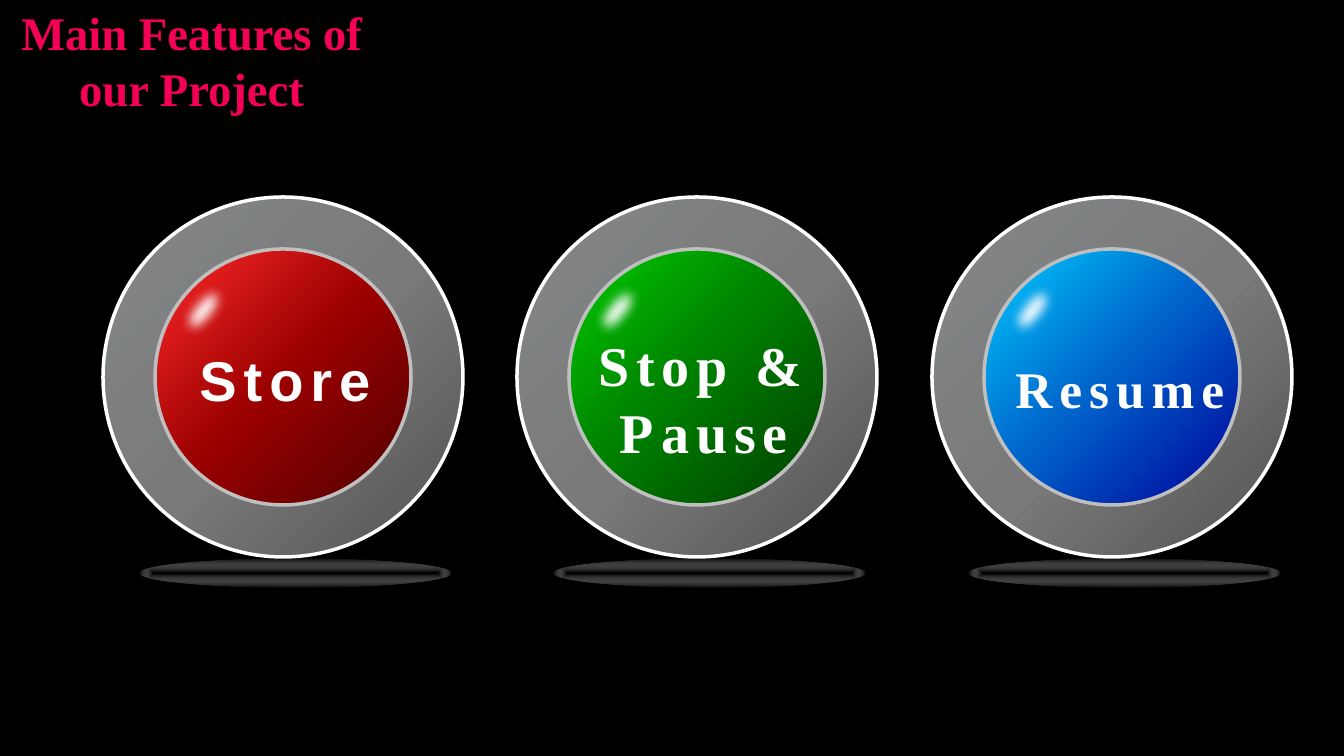
"""Builds a slide with three round buttons naming the main features of a project."""
import lxml.etree
import pptx
import pptx.dml.color
import pptx.enum.shapes
import pptx.enum.text
import pptx.oxml.ns
import pptx.util

RGBColor = pptx.dml.color.RGBColor
BLACK = RGBColor(0x00, 0x00, 0x00)
WHITE = RGBColor(0xFF, 0xFF, 0xFF)
SILVER = RGBColor(0xBF, 0xBF, 0xBF)
PINK = RGBColor(0xF5, 0x00, 0x57)
RING_STOPS = [
    (0, RGBColor(0xF6, 0xF9, 0xFC), 54),
    (57, RGBColor(0xD9, 0xD9, 0xD9), 55),
    (100, RGBColor(0xA6, 0xA6, 0xA6), 48),
]
SHADOW_STOPS = [(3, BLACK, 100), (100, WHITE, 0)]
RED_STOPS = [
    (0, RGBColor(0xFF, 0x29, 0x29), 100),
    (50, RGBColor(0x9A, 0x00, 0x00), 100),
    (100, RGBColor(0x50, 0x00, 0x00), 100),
]
GREEN_STOPS = [
    (0, RGBColor(0x00, 0xCC, 0x00), 100),
    (47, RGBColor(0x00, 0x80, 0x00), 100),
    (100, RGBColor(0x00, 0x3E, 0x00), 100),
]
BLUE_STOPS = [
    (0, RGBColor(0x00, 0xCC, 0xFF), 100),
    (47, RGBColor(0x00, 0x66, 0xCC), 100),
    (100, RGBColor(0x00, 0x00, 0x99), 100),
]
SERIF = "Times New Roman"
SANS = "Arial"
BUTTONS = [
    (103, RED_STOPS, "Store", (165, 341, 240, 76), SANS, 48),
    (517, GREEN_STOPS, "Stop & Pause", (587, 326, 234, 144), SERIF, 48),
    (932, BLUE_STOPS, "Resume", (1000, 353, 240, 71), SERIF, 44),
]


def px(length):
    return int(length * 914400 / 84)


def add_child(parent, tag, **attributes):
    child = lxml.etree.SubElement(parent, pptx.oxml.ns.qn(tag))
    for name, value in attributes.items():
        child.set(name, str(value))
    return child


def write_text(frame, text, font=SERIF, size=40, color=WHITE, spacing=0):
    frame.word_wrap = True
    frame.auto_size = pptx.enum.text.MSO_AUTO_SIZE.NONE
    frame.vertical_anchor = pptx.enum.text.MSO_ANCHOR.TOP
    paragraph = frame.paragraphs[0]
    paragraph.alignment = pptx.enum.text.PP_ALIGN.CENTER
    run = paragraph.add_run()
    run.text = text
    run.font.name = font
    run.font.size = pptx.util.Pt(size)
    run.font.bold = True
    run.font.color.rgb = color
    if spacing:
        run.font._element.set("spc", str(spacing * 100))


class ButtonSlide:
    def __init__(self, presentation):
        self.slide = presentation.slides.add_slide(presentation.slide_layouts[5])
        background = self.slide.background.fill
        background.solid()
        background.fore_color.rgb = BLACK

    def title(self, text, left, top, width, height):
        shape = self.slide.shapes.title
        shape.left, shape.top = px(left), px(top)
        shape.width, shape.height = px(width), px(height)
        write_text(shape.text_frame, text, color=PINK)

    def label(self, text, box, **text_format):
        shape = self.slide.shapes.add_textbox(*map(px, box))
        write_text(shape.text_frame, text, **text_format)

    def ellipse(self, left, top, width, height, line=None):
        shape = self.slide.shapes.add_shape(
            pptx.enum.shapes.MSO_SHAPE.OVAL, px(left), px(top), px(width), px(height))
        shape.shadow.inherit = False
        if line is None:
            shape.line.fill.background()
        else:
            shape.line.color.rgb = line
            shape.line.width = pptx.util.Pt(3)
        return shape

    def gradient(self, shape, stops, radial=False):
        shape.fill.background()
        properties = shape._element.spPr
        empty_fill = properties.find(pptx.oxml.ns.qn("a:noFill"))
        fill = add_child(properties, "a:gradFill", rotWithShape=1)
        stop_list = add_child(fill, "a:gsLst")
        for position, color, opacity in stops:
            stop = add_child(stop_list, "a:gs", pos=position * 1000)
            color_element = add_child(stop, "a:srgbClr", val=color)
            if opacity < 100:
                add_child(color_element, "a:alpha", val=opacity * 1000)
        if radial:
            shading = add_child(fill, "a:path", path="shape")
            add_child(shading, "a:fillToRect", l=50000, t=50000, r=50000, b=50000)
        else:
            add_child(fill, "a:lin", ang=45 * 60000, scaled=0)
        properties.replace(empty_fill, fill)

    def glint(self, left, top, width, height):
        shape = self.ellipse(left, top, width, height)
        shape.fill.solid()
        shape.fill.fore_color.rgb = WHITE
        shape.rotation = 216.6
        effects = shape._element.spPr.find(pptx.oxml.ns.qn("a:effectLst"))
        add_child(effects, "a:softEdge", rad=127000)

    def button(self, left, stops):
        self.gradient(self.ellipse(left, 197, 360, 360, line=WHITE), RING_STOPS)
        self.gradient(self.ellipse(left + 52, 249, 256, 256, line=SILVER), stops)
        self.glint(left + 77, 275, 47, 71)
        self.gradient(self.ellipse(left + 37, 559, 311, 29), SHADOW_STOPS, radial=True)


def main():
    presentation = pptx.Presentation()
    presentation.slide_width = px(1344)
    presentation.slide_height = px(756)
    page = ButtonSlide(presentation)
    page.title("Main Features of our Project", 0, 0, 383, 122)
    for left, stops, text, box, font, size in BUTTONS:
        page.button(left, stops)
        page.label(text, box, font=font, size=size, spacing=6)
    presentation.save("out.pptx")


if __name__ == "__main__":
    main()
